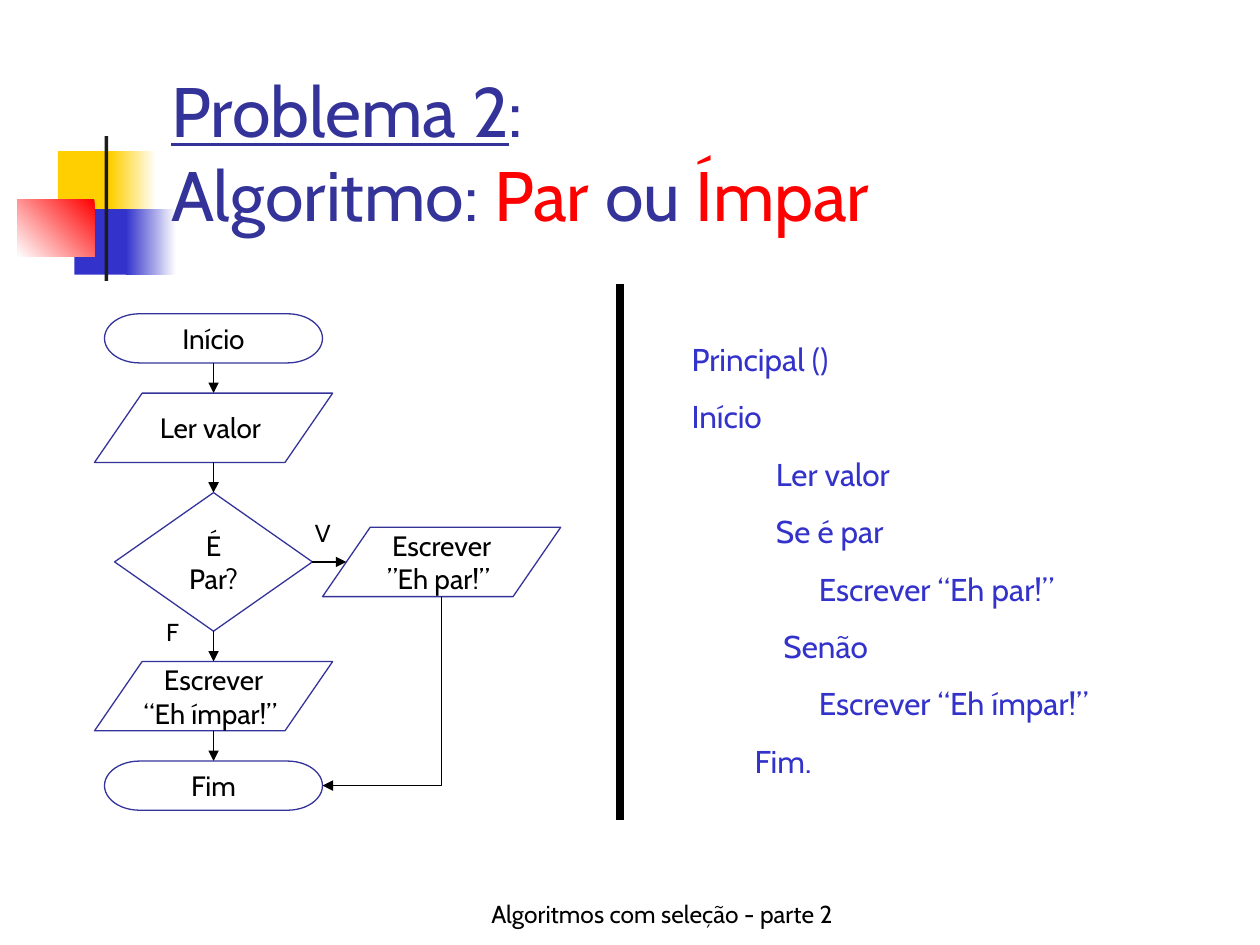
from lxml import etree
from pptx import Presentation
from pptx.dml.color import RGBColor
from pptx.enum.shapes import MSO_CONNECTOR, MSO_SHAPE
from pptx.enum.text import MSO_ANCHOR, MSO_AUTO_SIZE, PP_ALIGN
from pptx.oxml.ns import qn
from pptx.util import Inches, Pt

FONT = "Cabin"
COLORS = {
    "title": "333399",
    "accent": "FF0000",
    "code": "3333CC",
    "yellow": "FFCF01",
    "bar": "1C1C1C",
    "black": "000000",
    "white": "FFFFFF",
}


def rgb(name):
    return RGBColor.from_string(COLORS[name])


def add_run(p, text, size=16, color="black", underline=None):
    r = p.add_run()
    r.text = text
    r.font.name = FONT
    r.font.size = Pt(size)
    r.font.color.rgb = rgb(color)
    r.font.underline = underline


def write(tf, text, align=PP_ALIGN.LEFT, anchor=MSO_ANCHOR.TOP, wrap=True,
          space_before=0, **font):
    """Write one paragraph per line of text and return the paragraphs."""
    tf.word_wrap = wrap
    tf.vertical_anchor = anchor
    for i, line in enumerate(text.split("\n")):
        p = tf.add_paragraph() if i else tf.paragraphs[0]
        p.alignment = align
        if i and space_before:
            p.space_before = Pt(space_before)
        add_run(p, line, **font)
    return tf.paragraphs


def add_text(slide, x, y, w, h, text, **fmt):
    box = slide.shapes.add_textbox(Inches(x), Inches(y), Inches(w), Inches(h))
    return write(box.text_frame, text, **fmt)


def add_line(slide, x1, y1, x2, y2, width=0.75, arrow=True):
    line = slide.shapes.add_connector(
        MSO_CONNECTOR.STRAIGHT, Inches(x1), Inches(y1), Inches(x2), Inches(y2))
    line.line.color.rgb = rgb("black")
    line.line.width = Pt(width)
    if arrow:
        etree.SubElement(line.line._get_or_add_ln(), qn("a:tailEnd"), type="triangle")
    etree.SubElement(line._element.spPr, qn("a:effectLst"))
    return line


def add_ornament(slide, x, y):
    """Draw the coloured squares and the bar beside the title."""
    blocks = [
        (0.32, 0.12, 0.48, 0.52, ["yellow"], 0),
        (0.74, 0.12, 0.36, 0.52, ["white", "yellow"], 180),
        (0.45, 0.58, 0.46, 0.52, ["code"], 0),
        (0.86, 0.58, 0.40, 0.52, ["white", "code"], 180),
        (0, 0.5, 0.61, 0.46, ["accent", "white"], 225),
        (0.69, 0, 0.03, 1.15, ["bar"], 0),
    ]
    for dx, dy, w, h, colors, angle in blocks:
        s = slide.shapes.add_shape(
            MSO_SHAPE.RECTANGLE, Inches(x + dx), Inches(y + dy), Inches(w), Inches(h))
        s.shadow.inherit = False
        s.line.fill.background()
        if len(colors) == 1:
            s.fill.solid()
            s.fill.fore_color.rgb = rgb(colors[0])
            continue
        s.fill.gradient()
        s.fill.gradient_angle = angle
        for stop, position, color in zip(s.fill.gradient_stops, (0, 1), colors):
            stop.position = position
            stop.color.rgb = rgb(color)


def add_title(slide, x, y, w, h):
    title = slide.shapes.title
    title.left, title.top, title.width, title.height = map(Inches, (x, y, w, h))
    tf = title.text_frame
    tf.auto_size = MSO_AUTO_SIZE.NONE
    tf.vertical_anchor = MSO_ANCHOR.BOTTOM
    p = tf.paragraphs[0]
    p.alignment = PP_ALIGN.LEFT
    add_run(p, "Problema 2", 40, "title", underline=True)
    add_run(p, ":", 40, "title", underline=False)
    p.add_line_break()
    for text, color in [("Algoritmo: ", "title"), ("Par", "accent"),
                        (" ou ", "title"), ("Ímpar", "accent")]:
        add_run(p, text, 40, color, underline=False)
    # Bring the title in front of the ornament
    slide.shapes._spTree.append(title._element)


def add_step(slide, kind, cx, y, w, h, text):
    s = slide.shapes.add_shape(
        kind, Inches(cx - w / 2), Inches(y), Inches(w), Inches(h))
    s.shadow.inherit = False
    s.fill.background()
    s.line.color.rgb = rgb("title")
    s.line.width = Pt(0.75)
    write(s.text_frame, text, align=PP_ALIGN.CENTER, anchor=MSO_ANCHOR.MIDDLE,
          wrap=False)


def add_flowchart(slide, x, y):
    gap = 0.24
    terminator = (MSO_SHAPE.FLOWCHART_TERMINATOR, 1.73, 0.39)
    data = (MSO_SHAPE.FLOWCHART_DATA, 1.89, 0.55)
    decision = (MSO_SHAPE.FLOWCHART_DECISION, 1.57, 1.1)
    steps = [(terminator, "Início"), (data, "Ler valor "), (decision, "É\nPar?"),
             (data, "Escrever\n“Eh ímpar!” "), (terminator, "Fim")]
    cx = x + data[1] / 2
    tops = []
    for i, ((kind, w, h), text) in enumerate(steps):
        add_step(slide, kind, cx, y, w, h, text)
        tops.append(y)
        if i < len(steps) - 1:
            add_line(slide, cx, y + h, cx, y + h + gap)
        y += h + gap

    # True branch, to the right of the decision
    kind, w, h = data
    mid, branch_cx = tops[2] + decision[2] / 2, cx + 1.81
    add_step(slide, kind, branch_cx, mid - h / 2, w, h, "Escrever\n”Eh par!” ")
    add_line(slide, cx + decision[1] / 2, mid, branch_cx - 0.4 * w, mid)

    # Elbow down and left to the end step: an unrotated box turned by 90 degrees
    x1, y1 = branch_cx, mid + h / 2
    x2, y2 = cx + terminator[1] / 2, tops[-1] + terminator[2] / 2
    mx, my, dx, dy = (x1 + x2) / 2, (y1 + y2) / 2, (x1 - x2) / 2, (y2 - y1) / 2
    elbow = add_line(slide, mx - dy, my - dx, mx + dy, my + dx)
    elbow._element.spPr.find(qn("a:prstGeom")).set("prst", "bentConnector2")
    elbow._element.spPr.find(qn("a:xfrm")).set("rot", str(90 * 60000))

    add_text(slide, x + 1.65, mid - 0.4, 0.31, 0.34, "V", size=14, wrap=False)
    add_text(slide, x + 0.47, mid + 0.39, 0.3, 0.34, "F", size=14, wrap=False)


def add_pseudocode(slide, x, y, w, h):
    lines = [(0, "Principal ()"), (0, "Início"), (0.67, "Ler valor"),
             (0.67, "Se\té par"), (1.01, "Escrever “Eh par!”"),
             (0.73, "Senão"), (1.01, "Escrever “Eh ímpar!”"), (0.5, "Fim.")]
    paragraphs = add_text(slide, x, y, w, h, "\n".join(t for _, t in lines),
                          size=18, color="code", space_before=11.2)
    for p, (indent, text) in zip(paragraphs, lines):
        pPr = p._p.get_or_add_pPr()
        pPr.set("marL", "0")
        pPr.set("indent", str(Inches(indent)))
        if "\t" in text:
            tabs = etree.SubElement(pPr, qn("a:tabLst"))
            etree.SubElement(tabs, qn("a:tab"), pos=str(Inches(1.11)), algn="l")


def main():
    prs = Presentation()
    prs.slide_width, prs.slide_height = Inches(10), Inches(7.5)
    slide = prs.slides.add_slide(prs.slide_layouts[5])
    add_ornament(slide, 0.14, 1.08)
    add_title(slide, 1.26, 0.67, 8.52, 1.25)
    add_flowchart(slide, 0.75, 2.49)
    add_line(slide, 4.92, 2.25, 4.92, 6.51, width=4.5, arrow=False)
    add_pseudocode(slide, 5.39, 2.65, 3.94, 3.6)
    add_text(slide, 3.67, 6.92, 3.17, 0.5, "Algoritmos com seleção - parte 2",
             size=14, align=PP_ALIGN.CENTER, anchor=MSO_ANCHOR.BOTTOM)
    prs.save("out.pptx")


if __name__ == "__main__":
    main()
